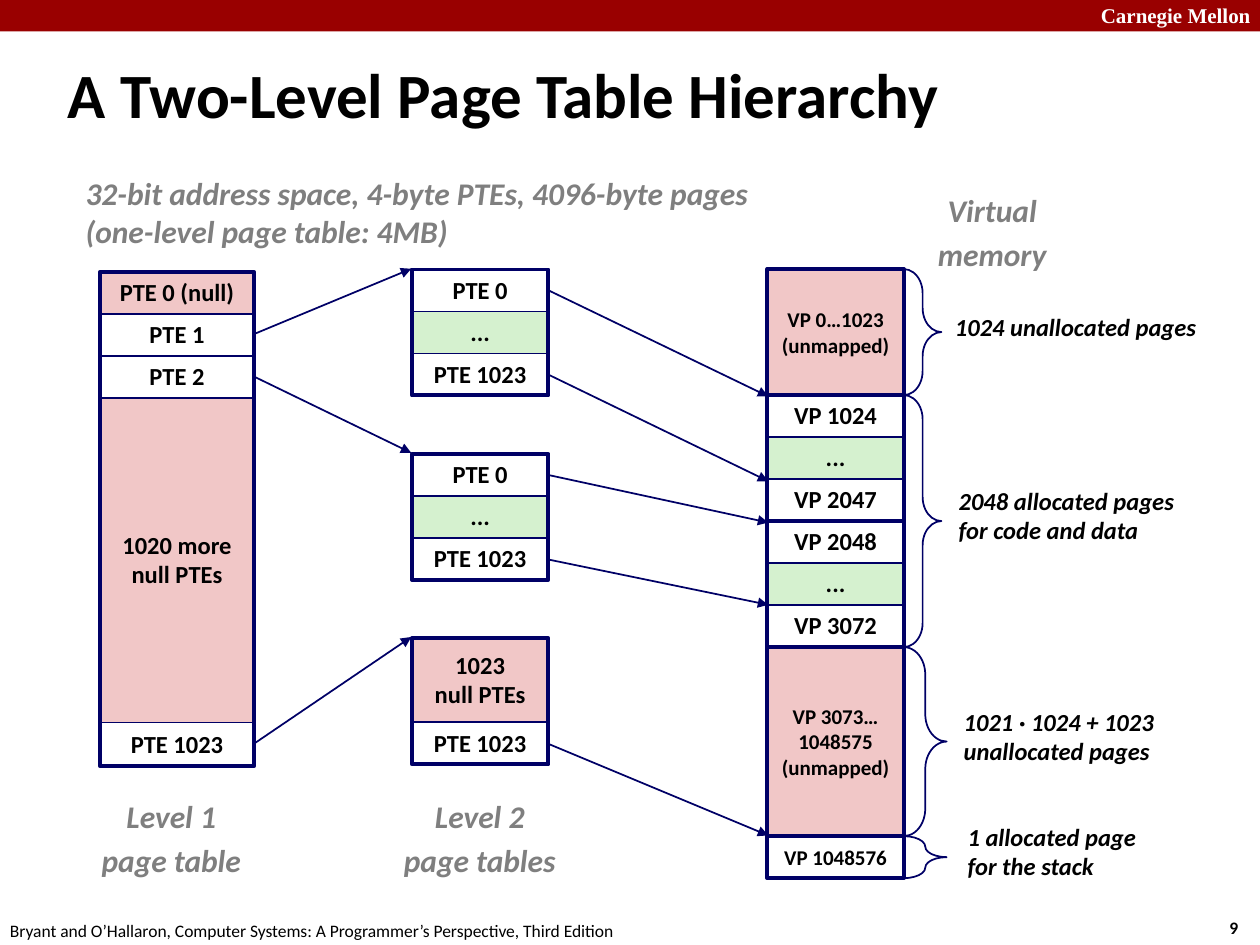
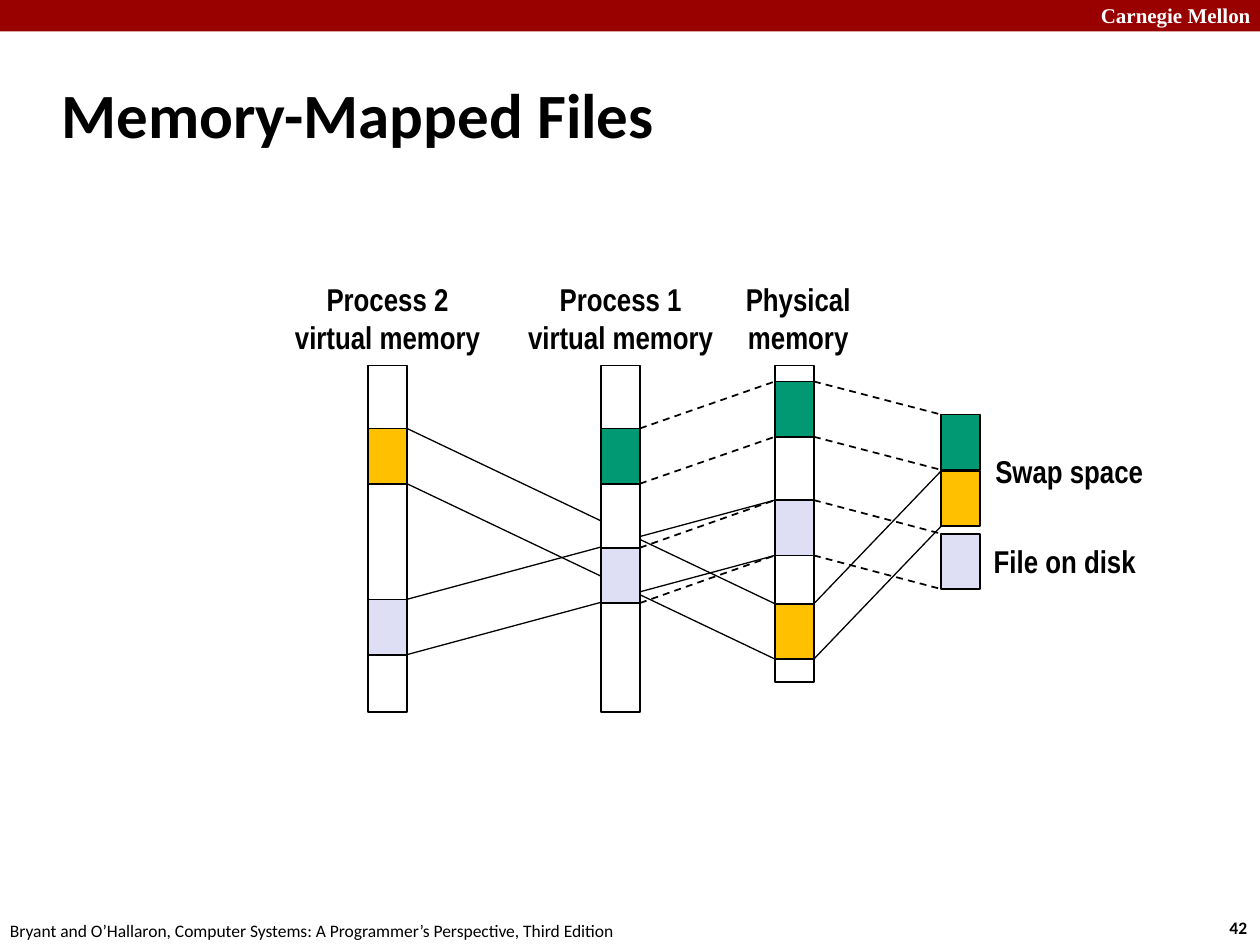
"""Build two lecture slides on page tables and memory-mapped files."""
import dataclasses

import pptx
import pptx.dml.color
import pptx.enum.dml
import pptx.enum.shapes
import pptx.enum.text
import pptx.oxml.ns
import pptx.util
from lxml import etree

Pt = pptx.util.Pt
SHAPES = pptx.enum.shapes.MSO_SHAPE
LEFT = pptx.enum.text.PP_ALIGN.LEFT
CENTER = pptx.enum.text.PP_ALIGN.CENTER
TOP = pptx.enum.text.MSO_ANCHOR.TOP
MIDDLE = pptx.enum.text.MSO_ANCHOR.MIDDLE


@dataclasses.dataclass(frozen=True)
class Style:
    """Look of a piece of text."""
    size: float
    bold: bool = True
    italic: bool = False
    color: str = "000000"
    font: str = "Calibri"


@dataclasses.dataclass(frozen=True)
class Theme:
    """Colours and type styles shared by the slides."""
    band: str = "990000"
    navy: str = "000066"
    black: str = "000000"
    white: str = "FFFFFF"
    unmapped: str = "F1C7C7"
    elided: str = "D5F1CF"
    green: str = "009973"
    orange: str = "FFC000"
    lavender: str = "DEDFF5"
    title: Style = Style(36)
    school: Style = Style(12, color="FFFFFF", font="Times New Roman")
    number: Style = Style(10)
    footer: Style = Style(10, bold=False)
    caption: Style = Style(18, italic=True, color="7F7F7F")
    remark: Style = Style(14, italic=True)
    cell: Style = Style(14)
    small_cell: Style = Style(12)
    memory_label: Style = Style(18, font="Arial Narrow")


THEME = Theme()
ROW = 24
BLOCK_WIDTH, BLOCK_HEIGHT = 22.3, 31.6


def rgb(color):
    """Turn a hex string into a colour."""
    return pptx.dml.color.RGBColor.from_string(color)


def write(shape, text, style, align=LEFT, anchor=TOP, spacing=1.0, gap=0, wrap=True):
    """Write each line of text as a paragraph of a shape."""
    frame = shape.text_frame
    frame.word_wrap = wrap
    frame.vertical_anchor = anchor
    for index, line in enumerate(text.split("\n")):
        paragraph = frame.add_paragraph() if index else frame.paragraphs[0]
        paragraph.alignment = align
        paragraph.line_spacing = spacing
        if index and gap:
            paragraph.space_before = Pt(gap)
        run = paragraph.add_run()
        run.text = line
        run.font.size = Pt(style.size)
        run.font.name = style.font
        run.font.bold = style.bold
        run.font.italic = style.italic
        run.font.color.rgb = rgb(style.color)


def add_text(slide, box, text, style, **layout):
    """Add a text box at (left, top, width, height)."""
    label = slide.shapes.add_textbox(*map(Pt, box))
    write(label, text, style, **layout)
    return label


def add_box(slide, box, fill=None, line=None, weight=1.0, kind=SHAPES.RECTANGLE):
    """Add a preset shape with an optional fill and outline."""
    shape = slide.shapes.add_shape(kind, *map(Pt, box))
    shape.shadow.inherit = False
    if fill:
        shape.fill.solid()
        shape.fill.fore_color.rgb = rgb(fill)
    else:
        shape.fill.background()
    if line:
        shape.line.color.rgb = rgb(line)
        shape.line.width = Pt(weight)
    else:
        shape.line.fill.background()
    return shape


def add_line(slide, start, end, color, weight=1.0, dashed=False, arrow=False):
    """Add a straight line, dashed or with an arrowhead if asked."""
    link = slide.shapes.add_connector(
        pptx.enum.shapes.MSO_CONNECTOR.STRAIGHT, *map(Pt, start + end))
    link.line.color.rgb = rgb(color)
    link.line.width = Pt(weight)
    if dashed:
        link.line.dash_style = pptx.enum.dml.MSO_LINE.DASH
    if arrow:
        etree.SubElement(link.line._get_or_add_ln(),
                         pptx.oxml.ns.qn("a:tailEnd"), type="triangle")
    etree.SubElement(link._element.spPr, pptx.oxml.ns.qn("a:effectLst"))


def add_page(deck, title, title_box, number):
    """Add a slide with its band, footer, number and title."""
    slide = deck.slides.add_slide(deck.slide_layouts[6])
    add_box(slide, (0, 0, 720, 18), THEME.band)
    add_text(slide, (622, -2.2, 103, 21.6), "Carnegie Mellon", THEME.school)
    add_text(slide, (695.5, 520.5, 28, 19.5), number, THEME.number)
    add_text(slide, (-1.4, 522, 370, 19.5),
             "Bryant and O’Hallaron, Computer Systems: "
             "A Programmer’s Perspective, Third Edition", THEME.footer)
    heading = add_text(slide, title_box, title, THEME.title, anchor=MIDDLE)
    properties = heading.text_frame.paragraphs[0]._p.get_or_add_pPr()
    properties.set("marL", str(Pt(9.4)))
    properties.set("indent", str(-Pt(9.4)))
    return slide


def add_table_column(slide, left, top, width, cells):
    """Stack cells (text, height, fill, style) in a heavy frame; return the bottom."""
    bottom = top
    for text, height, fill, style in cells:
        cell = add_box(slide, (left, bottom, width, height), fill, THEME.navy)
        write(cell, text, style, CENTER, MIDDLE,
              0.98 if style is THEME.cell else 1.0)
        bottom += height
    add_box(slide, (left, top, width, bottom - top), None, THEME.navy, 2.25)
    return bottom


def row(text, height=ROW, fill=None, style=THEME.cell):
    """Describe one cell of a table column."""
    return text, height, fill, style


def page_run(first, last):
    """Describe a run of entries with the middle left out."""
    return [row(first), row("...", fill=THEME.elided), row(last)]


def add_region(slide, top, height, brace_width, label_left, text):
    """Mark a region of virtual memory with a brace and a remark."""
    brace = add_box(slide, (516.5, top, brace_width, height), None, THEME.navy,
                    kind=SHAPES.RIGHT_BRACE)
    brace.adjustments[0] = 0.639
    brace.adjustments[1] = 0.5
    add_text(slide, (label_left, top + height / 2 - 23, 156, 41), text,
             THEME.remark, anchor=MIDDLE, spacing=0.98)


def build_hierarchy(deck):
    """Draw the two-level page table slide."""
    slide = add_page(deck, "A Two-Level Page Table Hierarchy",
                     (31.7, 22.3, 652, 62), "9")
    add_text(slide, (41.8, 95.8, 426, 51),
             "32-bit address space, 4-byte PTEs, 4096-byte pages\n"
             "(one-level page table: 4MB)", THEME.caption)
    for box, text in (((50.4, 455, 95, 52), "Level 1\npage table"),
                      ((223.2, 455, 102, 52), "Level 2\npage tables"),
                      ((528.5, 108.7, 77, 52), "Virtual\nmemory")):
        add_text(slide, box, text, THEME.caption, align=CENTER, spacing=0.88, gap=6)

    add_table_column(slide, 57.2, 155.4, 88, [
        row("PTE 0 (null)", fill=THEME.unmapped),
        row("PTE 1"),
        row("PTE 2"),
        row("1020 more\nnull PTEs", 185.5, THEME.unmapped),
        row("PTE 1023", 25)])

    level_2 = [page_run("PTE 0", "PTE 1023"),
               page_run("PTE 0", "PTE 1023"),
               [row("1023\nnull PTEs", 2 * ROW, THEME.unmapped), row("PTE 1023")]]
    for index, cells in enumerate(level_2):
        add_table_column(slide, 235.4, 154 + 105.4 * index, 78, cells)

    memory_top = bottom = 153.8
    for cells in (
            [row("VP 0…1023 (unmapped)", 3 * ROW, THEME.unmapped, THEME.small_cell)],
            page_run("VP 1024", "VP 2047"),
            page_run("VP 2048", "VP 3072"),
            [row("VP 3073… 1048575 (unmapped)", 4.5 * ROW, THEME.unmapped,
                 THEME.small_cell)],
            [row("VP 1048576", style=THEME.small_cell)]):
        bottom = add_table_column(slide, 438.5, bottom, 78, cells)

    region_top = memory_top
    for rows, brace_width, label_left, text in (
            (3, 21.5, 538.6, "1024 unallocated pages"),
            (6, 21.5, 540.7, "2048 allocated pages\nfor code and data"),
            (4.5, 24.5, 543.6, "1021 · 1024 + 1023 unallocated pages"),
            (1, 24.5, 545.8, "1 allocated page\nfor the stack")):
        add_region(slide, region_top, rows * ROW, brace_width, label_left, text)
        region_top += rows * ROW

    level_1_links = [(190.8, 153.6), (215.3, 258.8), (424.8, 364)]
    level_2_links = [(165.8, 226.5), (214, 275), (271.4, 298.6),
                     (319.7, 345.6), (425, 477.4)]
    for start_x, end_x, links in ((145.4, 235, level_1_links),
                                  (313.2, 439, level_2_links)):
        for start_y, end_y in links:
            add_line(slide, (start_x, start_y), (end_x, end_y), THEME.navy, arrow=True)


def add_mapping(slide, source, target, dashed):
    """Join the upper and lower edges of two blocks given as (left, top)."""
    for offset in (0, BLOCK_HEIGHT):
        add_line(slide, (source[0] + BLOCK_WIDTH, source[1] + offset),
                 (target[0], target[1] + offset), THEME.black,
                 1.0 if dashed else 0.75, dashed)


def build_mapped_files(deck):
    """Draw the memory-mapped files slide."""
    slide = add_page(deck, "Memory-Mapped Files", (28, 34.6, 598, 60), "42")
    lefts = {"process 2": 210.2, "process 1": 343.4, "physical": 442.8, "disk": 537.8}
    block_tops = {
        "process 2": {"orange": 244.8, "lavender": 342.5},
        "process 1": {"green": 244.8, "lavender": 313},
        "physical": {"green": 218, "lavender": 285.8, "orange": 345},
        "disk": {"green": 236.9, "orange": 269.1, "lavender": 305}}
    mappings = [("process 2", "physical", "lavender", False),
                ("process 2", "physical", "orange", False),
                ("physical", "disk", "orange", False),
                ("process 1", "physical", "green", True),
                ("process 1", "physical", "lavender", True),
                ("physical", "disk", "green", True),
                ("physical", "disk", "lavender", True)]
    for source, target, color, dashed in mappings:
        add_mapping(slide, (lefts[source], block_tops[source][color]),
                    (lefts[target], block_tops[target][color]), dashed)

    for memory, height in (("process 2", 198), ("process 1", 198), ("physical", 181)):
        add_box(slide, (lefts[memory], 208.8, BLOCK_WIDTH, height),
                THEME.white, THEME.black)
    for memory, blocks in block_tops.items():
        for color, top in blocks.items():
            add_box(slide, (lefts[memory], top, BLOCK_WIDTH, BLOCK_HEIGHT),
                    getattr(THEME, color), THEME.black)

    for box, text in (((160.6, 156.2, 121.7, 51), "Process 2\nvirtual memory"),
                      ((293.8, 156.2, 121.7, 51), "Process 1\nvirtual memory"),
                      ((418.3, 156.2, 75.6, 51), "Physical\nmemory"),
                      ((561, 254.6, 100, 28.8), "Swap space"),
                      ((560.2, 306.4, 96.5, 28.8), "File on disk")):
        add_text(slide, box, text, THEME.memory_label, align=CENTER,
                 anchor=MIDDLE, wrap=False)


def main():
    """Build and save the deck."""
    deck = pptx.Presentation()
    deck.slide_width, deck.slide_height = Pt(720), Pt(540)
    build_hierarchy(deck)
    build_mapped_files(deck)
    deck.save("out.pptx")


if __name__ == "__main__":
    main()
